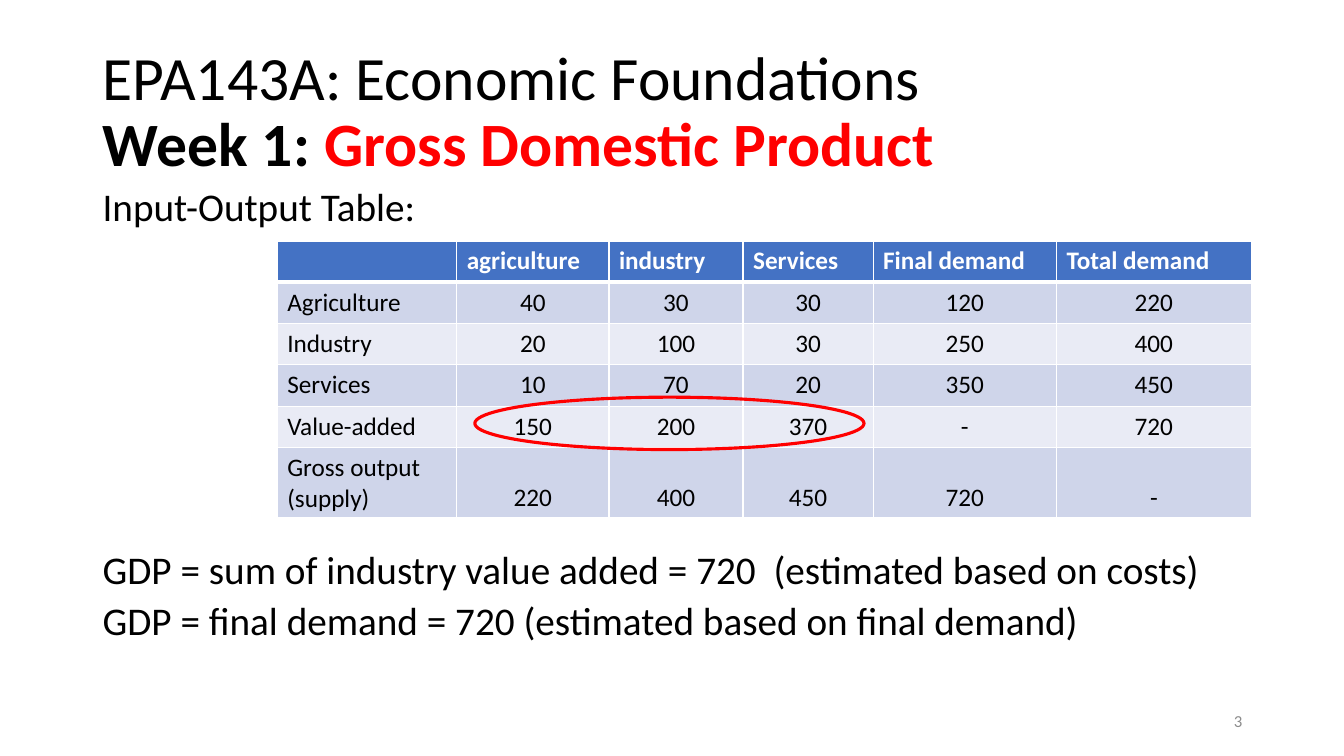
from lxml.etree import SubElement as Sub
from pptx import Presentation
from pptx.dml.color import RGBColor as RGB
from pptx.enum.shapes import MSO_SHAPE as Kind
from pptx.enum.text import MSO_ANCHOR as Anchor, MSO_AUTO_SIZE as Auto, PP_ALIGN as Align
from pptx.oxml.ns import qn
from pptx.util import Inches, Pt

COLORS = {"black": "000000", "red": "FF0000", "white": "FFFFFF", "gray": "8C8C8C",
          "head": "4472C4", "dark": "CFD5EA", "light": "E9EBF5"}

HEAD = ["", "agriculture", "industry", "Services", "Final demand", "Total demand"]
ROWS = [
    ["Agriculture", "40", "30", "30", "120", "220"],
    ["Industry", "20", "100", "30", "250", "400"],
    ["Services", "10", "70", "20", "350", "450"],
    ["Value-added", "150", "200", "370", "-", "720"],
    ["Gross output\n(supply)", "220", "400", "450", "720", "-"],
]
WIDTHS = [1.78, 1.51, 1.33, 1.29, 1.82, 1.93]
HEIGHTS = [0.41] * 5 + [0.7]


def color(name):
    return RGB.from_string(COLORS[name])


def write(para, text, size=18, tint="black", bold=False, font="Calibri",
          align=Align.LEFT, line=None, before=None):
    """Add one run to a paragraph and format both."""
    para.alignment = align
    if line:
        para.line_spacing = line
    if before is not None:
        para.space_before = Pt(before)
    run = para.add_run()
    run.text = text
    run.font.name, run.font.size, run.font.bold = font, Pt(size), bold
    run.font.color.rgb = color(tint)


def border(cell, bottom):
    """Draw white cell borders; the bottom width is given in points."""
    props = cell._tc.get_or_add_tcPr()
    for side, width in zip("LRTB", (1, 1, 1, bottom)):
        edge = Sub(props, qn("a:ln" + side), w=str(Pt(width)))
        fill = Sub(edge, qn("a:solidFill"))
        Sub(fill, qn("a:srgbClr"), val=COLORS["white"])


class Deck:
    def __init__(self):
        self.prs = Presentation()
        self.prs.slide_width, self.prs.slide_height = Inches(13.33), Inches(7.5)
        self.slide = self.prs.slides.add_slide(self.prs.slide_layouts[5])

    def title(self, box):
        shape = self.slide.shapes.title
        shape.left, shape.top, shape.width, shape.height = map(Inches, box)
        frame = shape.text_frame
        frame.auto_size, frame.vertical_anchor = Auto.NONE, Anchor.MIDDLE
        para = frame.paragraphs[0]
        write(para, "EPA143A: Economic Foundations", size=44, line=0.9)
        para.add_line_break()
        write(para, "Week 1: ", size=44, bold=True)
        write(para, "Gross Domestic Product", size=44, bold=True, tint="red")

    def text(self, box, lines, anchor=Anchor.TOP, **style):
        """Add a text box; lines are pairs of text and space before."""
        frame = self.slide.shapes.add_textbox(*map(Inches, box)).text_frame
        frame.word_wrap, frame.vertical_anchor = True, anchor
        for i, (text, gap) in enumerate(lines):
            para = frame.add_paragraph() if i else frame.paragraphs[0]
            write(para, text, before=gap, **style)

    def table(self, left, top):
        shape = self.slide.shapes.add_table(
            len(HEIGHTS), len(WIDTHS), Inches(left), Inches(top),
            Inches(sum(WIDTHS)), Inches(sum(HEIGHTS)))
        grid = shape.table
        for col, width in zip(grid.columns, WIDTHS):
            col.width = Inches(width)
        for row, height in zip(grid.rows, HEIGHTS):
            row.height = Inches(height)
        for r, row in enumerate([HEAD] + ROWS):
            for c, text in enumerate(row):
                self.cell(grid.cell(r, c), text, r, c)

    def cell(self, cell, text, r, c):
        head = r == 0
        border(cell, 1 if r else 3)
        cell.fill.solid()
        cell.fill.fore_color.rgb = color("head" if head else "dark" if r % 2 else "light")
        if r == len(ROWS):
            cell.vertical_anchor = Anchor.BOTTOM
        for i, part in enumerate(text.split("\n") if text else []):
            frame = cell.text_frame
            para = frame.add_paragraph() if i else frame.paragraphs[0]
            write(para, part, bold=head, tint="white" if head else "black",
                  align=Align.CENTER if r and c else Align.LEFT)

    def ring(self, box):
        shape = self.slide.shapes.add_shape(Kind.OVAL, *map(Inches, box))
        shape.shadow.inherit = False
        shape.fill.background()
        shape.line.color.rgb = color("red")
        shape.line.width = Pt(2.25)


def main():
    deck = Deck()
    deck.title((0.92, 0.4, 11.5, 1.45))

    # Body text, with room for the table after the first line
    deck.text((0.92, 1.85, 11.5, 4.91), [
        ("Input-Output Table:", 10),
        ("GDP = sum of industry value added = 720  (estimated based on costs)", 232),
        ("GDP = final demand = 720 (estimated based on final demand)", 10),
    ], size=28, line=0.8)

    # Slide number
    deck.text((9.42, 6.95, 3, 0.4), [("3", 0)], anchor=Anchor.MIDDLE,
              size=12, tint="gray", align=Align.RIGHT)

    # Table, with the value added of the sectors ringed
    deck.table(2.75, 2.39)
    deck.ring((4.71, 3.94, 3.86, 0.52))

    deck.prs.save("out.pptx")


if __name__ == "__main__":
    main()
